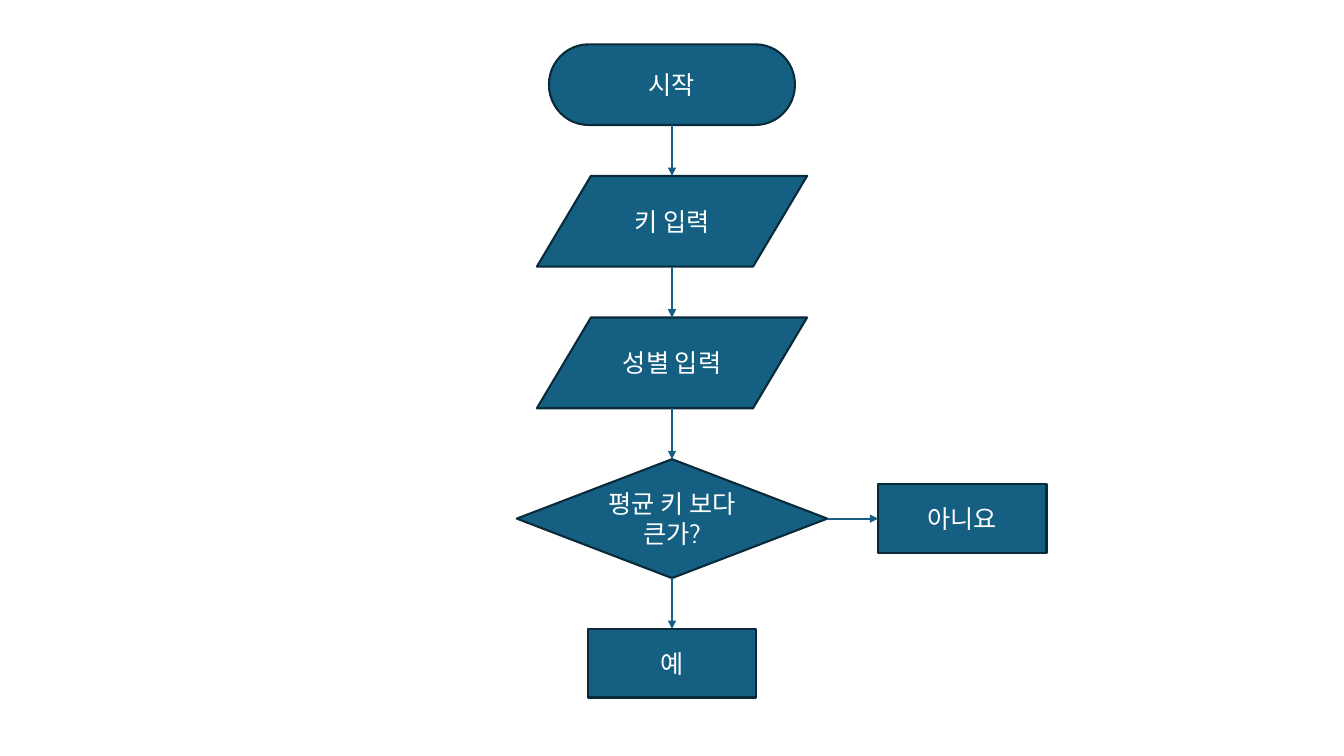
from dataclasses import dataclass

from lxml import etree
from pptx import Presentation
from pptx.dml.color import RGBColor
from pptx.enum.shapes import MSO_CONNECTOR, MSO_SHAPE
from pptx.enum.text import MSO_ANCHOR, PP_ALIGN
from pptx.oxml.ns import qn
from pptx.util import Inches, Pt

TERMINATOR = MSO_SHAPE.FLOWCHART_TERMINATOR
INPUT = MSO_SHAPE.FLOWCHART_DATA
DECISION = MSO_SHAPE.FLOWCHART_DECISION
RESULT = MSO_SHAPE.RECTANGLE
STRAIGHT = MSO_CONNECTOR.STRAIGHT
CENTER = PP_ALIGN.CENTER
MIDDLE = MSO_ANCHOR.MIDDLE

PAGE_WIDTH, PAGE_HEIGHT = 13.33, 7.5
BLANK_LAYOUT = 6


@dataclass(frozen=True)
class Theme:
    fill: RGBColor = RGBColor.from_string("156082")
    outline: RGBColor = RGBColor.from_string("092A39")
    text: RGBColor = RGBColor.from_string("FFFFFF")
    font: str = "Cabin"
    text_size: float = 18
    line_width: float = 1.5


@dataclass(frozen=True)
class Box:
    left: float
    top: float
    width: float
    height: float

    @property
    def right(self):
        return self.left + self.width

    @property
    def bottom(self):
        return self.top + self.height

    @property
    def center(self):
        return self.left + self.width / 2

    @property
    def middle(self):
        return self.top + self.height / 2


THEME = Theme()

# Main column, top to bottom: shape, wording, width, height
STEPS = [
    (TERMINATOR, "시작", 2.44, 0.8),
    (INPUT, "키 입력", 2.68, 0.9),
    (INPUT, "성별 입력", 2.68, 0.9),
    (DECISION, "평균 키 보다 큰가?", 3.08, 1.18),
    (RESULT, "예", 1.67, 0.68),
]
NO_STEP = (RESULT, "아니요", 1.67, 0.68)


def add_step(page, kind, wording, box):
    step = page.shapes.add_shape(kind, Inches(box.left), Inches(box.top),
                                 Inches(box.width), Inches(box.height))
    step.shadow.inherit = False
    step.fill.solid()
    step.fill.fore_color.rgb = THEME.fill
    step.line.color.rgb = THEME.outline
    step.line.width = Pt(THEME.line_width)

    frame = step.text_frame
    frame.text = wording
    frame.word_wrap = True
    frame.vertical_anchor = MIDDLE
    para = frame.paragraphs[0]
    para.alignment = CENTER
    font = para.runs[0].font
    font.name = THEME.font
    font.size = Pt(THEME.text_size)
    font.color.rgb = THEME.text


def add_arrow(page, start, end):
    arrow = page.shapes.add_connector(STRAIGHT, *map(Inches, start + end))
    arrow.line.color.rgb = THEME.fill
    arrow.line.width = Pt(THEME.line_width)
    etree.SubElement(arrow.line._get_or_add_ln(), qn("a:tailEnd"), type="triangle")
    etree.SubElement(arrow._element.spPr, qn("a:effectLst"))


def add_flowchart(page, area):
    # Equal gaps fill the height left over by the steps
    gap = (area.height - sum(step[3] for step in STEPS)) / (len(STEPS) - 1)

    # Main column
    top = area.top
    for kind, wording, width, height in STEPS:
        box = Box(area.center - width / 2, top, width, height)
        add_step(page, kind, wording, box)
        if top > area.top:
            add_arrow(page, (area.center, top - gap), (area.center, top))
        if kind == DECISION:
            add_no_branch(page, box, gap)
        top = box.bottom + gap


def add_no_branch(page, decision, gap):
    kind, wording, width, height = NO_STEP
    box = Box(decision.right + gap, decision.middle - height / 2, width, height)
    add_step(page, kind, wording, box)
    add_arrow(page, (decision.right, decision.middle), (box.left, box.middle))


def main():
    deck = Presentation()
    deck.slide_width = Inches(PAGE_WIDTH)
    deck.slide_height = Inches(PAGE_HEIGHT)
    page = deck.slides.add_slide(deck.slide_layouts[BLANK_LAYOUT])
    add_flowchart(page, Box(0, 0.44, PAGE_WIDTH, 6.48))
    deck.save("out.pptx")


if __name__ == "__main__":
    main()
